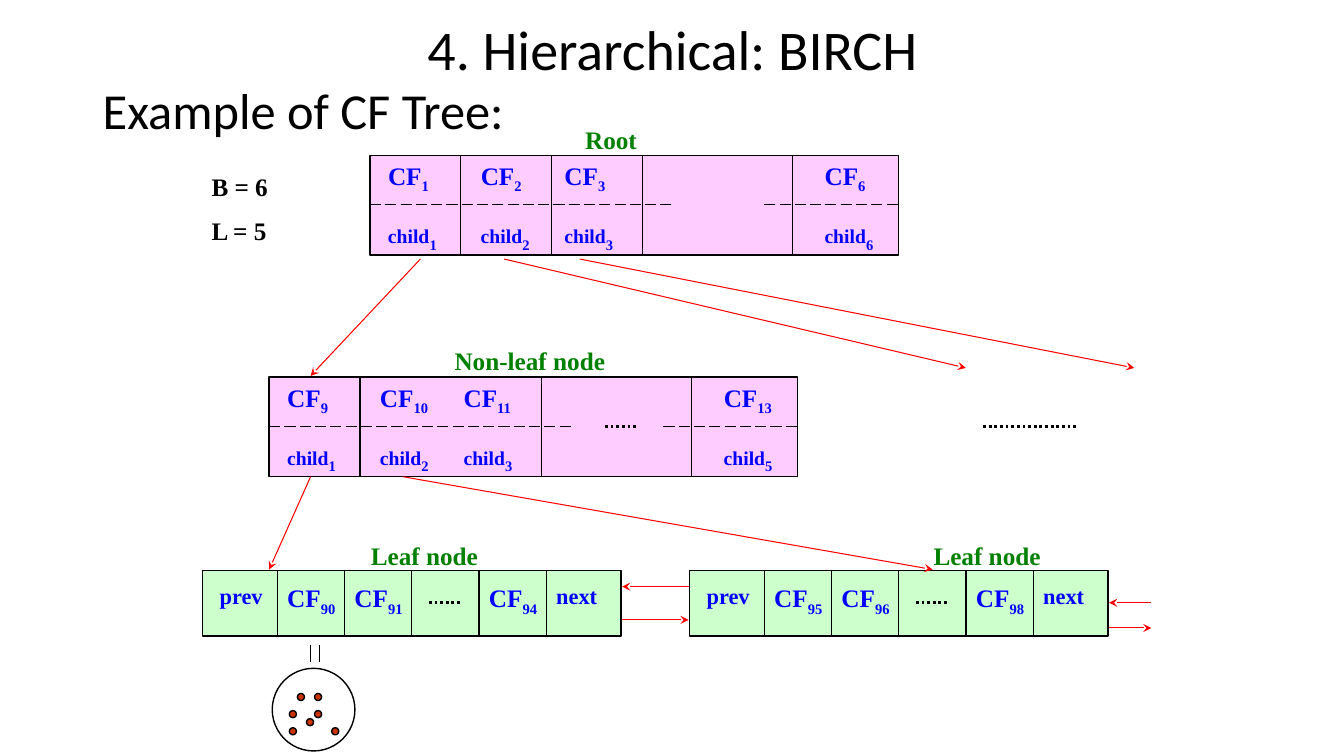
from lxml import etree
from pptx import Presentation
from pptx import util as u
from pptx.dml.color import RGBColor
from pptx.enum import dml, shapes, text
from pptx.oxml import ns

SERIF, SANS = "Times New Roman", "Calibri"
BLACK, BLUE, GREEN, RED = "000000", "0000FF", "008000", "FF0000"
PINK, MINT, RUST = "FFCCFF", "CCFFCC", "CC3300"

HEADINGS = [
    ("Example of CF Tree:", (0.92, 0.4, 11.5, 1.45), 36, text.PP_ALIGN.LEFT),
    ("4. Hierarchical: BIRCH", (0.92, 0.13, 11.5, 0.78), 40, text.PP_ALIGN.CENTER),
]
PARAMETERS = ["B = 6", "L = 5"]
NODE_LABELS = [
    ("Root", 5.52, 1.18, 1.08),
    ("Non-leaf node", 4.17, 3.38, 2.17),
    ("Leaf node", 3.42, 5.31, 1.58),
    ("Leaf node", 9, 5.31, 1.58),
]
INNER_NODES = [
    (3.67, 1.54, (0.9, 1.8, 2.7, 4.19),
     [("1", "1"), ("2", "2"), ("3", "3"), ("6", "6")]),
    (2.67, 3.74, (0.9, 2.7, 4.19),
     [("9", "1"), ("10", "2"), ("11", "3"), ("13", "5")]),
]
ENTRY_OFFSETS = (0.08, 1, 1.83, 4.41)
INNER_DASHES = [(0, 3), (3.91, 5.24)]
LEAF_NODES = [(2.01, ("90", "91", None, "94")), (6.84, ("95", "96", None, "98"))]
LEAF_TOP, LEAF_FIRST, LEAF_STEP = 5.66, 0.74, 0.667
ELLIPSES = [(6, 6.33, 4.23), (9.75, 10.67, 4.23)]
POINTERS = [
    (4.17, 2.57, 3.08, 3.73), (5, 2.57, 9.58, 3.65), (5.75, 2.57, 11.25, 3.65),
    (3.08, 4.73, 2.67, 5.65), (4, 4.73, 9.25, 5.65),
    (6.83, 5.82, 6.17, 5.82), (6.17, 6.15, 6.83, 6.15),
    (11, 6.23, 11.42, 6.23), (11.42, 5.98, 11, 5.98),
]
CLUSTER = (2.7, 6.63, 0.82)
POINTS = [(2.95, 6.88), (3.12, 7.05), (3.12, 6.88), (2.87, 7.22),
          (2.87, 7.05), (3.04, 7.13), (3.29, 7.22)]
EQUAL_BARS = (3.08, 3.17)

prs = Presentation()
prs.slide_width, prs.slide_height = u.Inches(13.33), u.Inches(7.5)
slide = prs.slides.add_slide(prs.slide_layouts[6])


def color(value):
    return RGBColor.from_string(value)


def draw_line(x1, y1, x2, y2, width=1, stroke=BLACK, dash=None, arrow=False):
    line = slide.shapes.add_connector(
        shapes.MSO_CONNECTOR.STRAIGHT, *map(u.Inches, (x1, y1, x2, y2)))
    line.line.color.rgb = color(stroke)
    line.line.width = u.Pt(width)
    if dash:
        line.line.dash_style = dash
    if arrow:
        etree.SubElement(line.line._ln, ns.qn("a:tailEnd"), type="stealth")
    etree.SubElement(line._element.spPr, ns.qn("a:effectLst"))


def draw_shape(kind, box, fill=None):
    shape = slide.shapes.add_shape(kind, *map(u.Inches, box))
    shape.shadow.inherit = False
    if fill:
        shape.fill.solid()
        shape.fill.fore_color.rgb = color(fill)
    else:
        shape.fill.background()
    shape.line.color.rgb = color(BLACK)
    shape.line.width = u.Pt(1)


def write(lines, box, size, ink=BLUE, face=SERIF, align=text.PP_ALIGN.LEFT, subscript=None):
    frame = slide.shapes.add_textbox(*map(u.Inches, box)).text_frame
    frame.word_wrap = True
    frame.text = "\n".join(lines)
    for index, paragraph in enumerate(frame.paragraphs):
        paragraph.alignment = align
        if index:
            paragraph.space_before = u.Pt(10)
        if subscript:
            paragraph.add_run().text = subscript
        for run in paragraph.runs:
            run.font.name, run.font.size = face, u.Pt(size)
            run.font.bold = face == SERIF
            run.font.color.rgb = color(ink)
        if subscript:
            run.font.size = u.Pt(18)
            run.font._element.set("baseline", "-25000")
    return frame


def draw_inner_node(left, top, dividers, entries):
    draw_shape(shapes.MSO_SHAPE.RECTANGLE, (left, top, 5.24, 0.99), PINK)
    for offset in dividers:
        draw_line(left + offset, top, left + offset, top + 0.99)
    for start, end in INNER_DASHES:
        draw_line(left + start, top + 0.49, left + end, top + 0.49,
                  dash=dml.MSO_LINE.LONG_DASH)
    for offset, (feature, child) in zip(ENTRY_OFFSETS, entries):
        write(["CF"], (left + offset, top, 0.75, 0.4), 18, subscript=feature)
        write(["child"], (left + offset, top + 0.58, 1, 0.34), 14, subscript=child)


def draw_dots(start, end, y):
    draw_line(start, y, end, y, width=2, dash=dml.MSO_LINE.ROUND_DOT)


def draw_leaf_node(left, features):
    draw_shape(shapes.MSO_SHAPE.RECTANGLE, (left, LEAF_TOP, 4.15, 0.65), MINT)
    dividers = [left + LEAF_FIRST + LEAF_STEP * i for i in range(len(features) + 1)]
    for x in dividers:
        draw_line(x, LEAF_TOP, x, LEAF_TOP + 0.65)
    for x, feature in zip(dividers, features):
        if feature:
            write(["CF"], (x, 5.73, 0.75, 0.4), 18, subscript=feature)
        else:
            draw_dots(x + 0.17, x + 0.5, 5.98)
    for word, x in (("prev", left + 0.07), ("next", dividers[-1])):
        write([word], (x, 5.73, 0.75, 0.37), 16)


for heading, box, size, align in HEADINGS:
    frame = write([heading], box, size, BLACK, SANS, align)
    frame.vertical_anchor = text.MSO_ANCHOR.MIDDLE
    frame.paragraphs[0].line_spacing = 0.9
for node in INNER_NODES:
    draw_inner_node(*node)
for leaf in LEAF_NODES:
    draw_leaf_node(*leaf)
for pointer in POINTERS:
    draw_line(*pointer, width=0.75, stroke=RED, arrow=True)
for dots in ELLIPSES:
    draw_dots(*dots)
write(PARAMETERS, (2, 1.65, 1.17, 0.85), 18, BLACK)
for label, left, top, width in NODE_LABELS:
    write([label], (left, top, width, 0.4), 18, GREEN, align=text.PP_ALIGN.CENTER)
for x, y in POINTS:
    draw_shape(shapes.MSO_SHAPE.OVAL, (x, y, 0.07, 0.07), RUST)
left, top, diameter = CLUSTER
draw_shape(shapes.MSO_SHAPE.OVAL, (left, top, diameter, diameter))
for x in EQUAL_BARS:
    draw_line(x, 6.4, x, 6.57, width=0.25)

prs.save("out.pptx")
